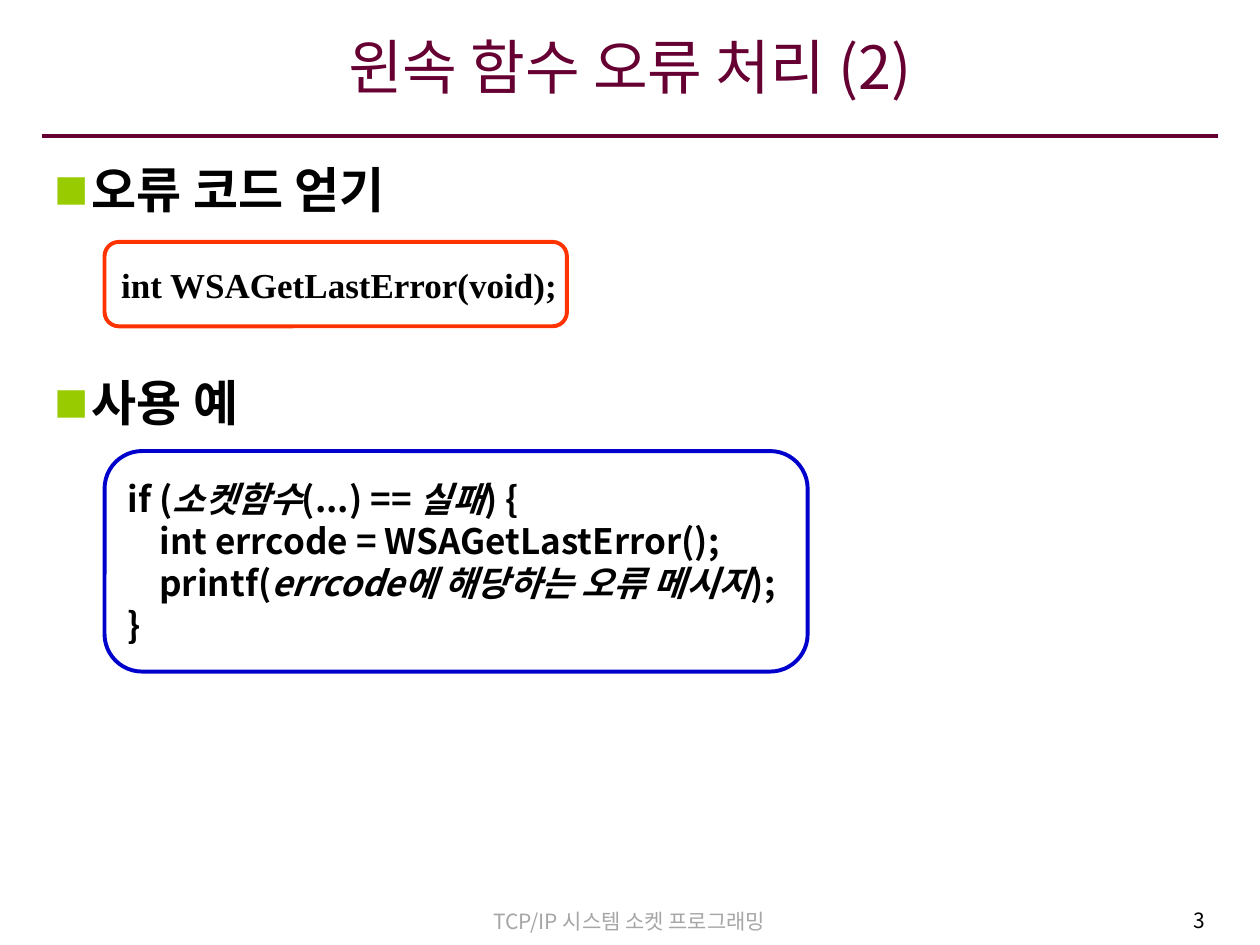
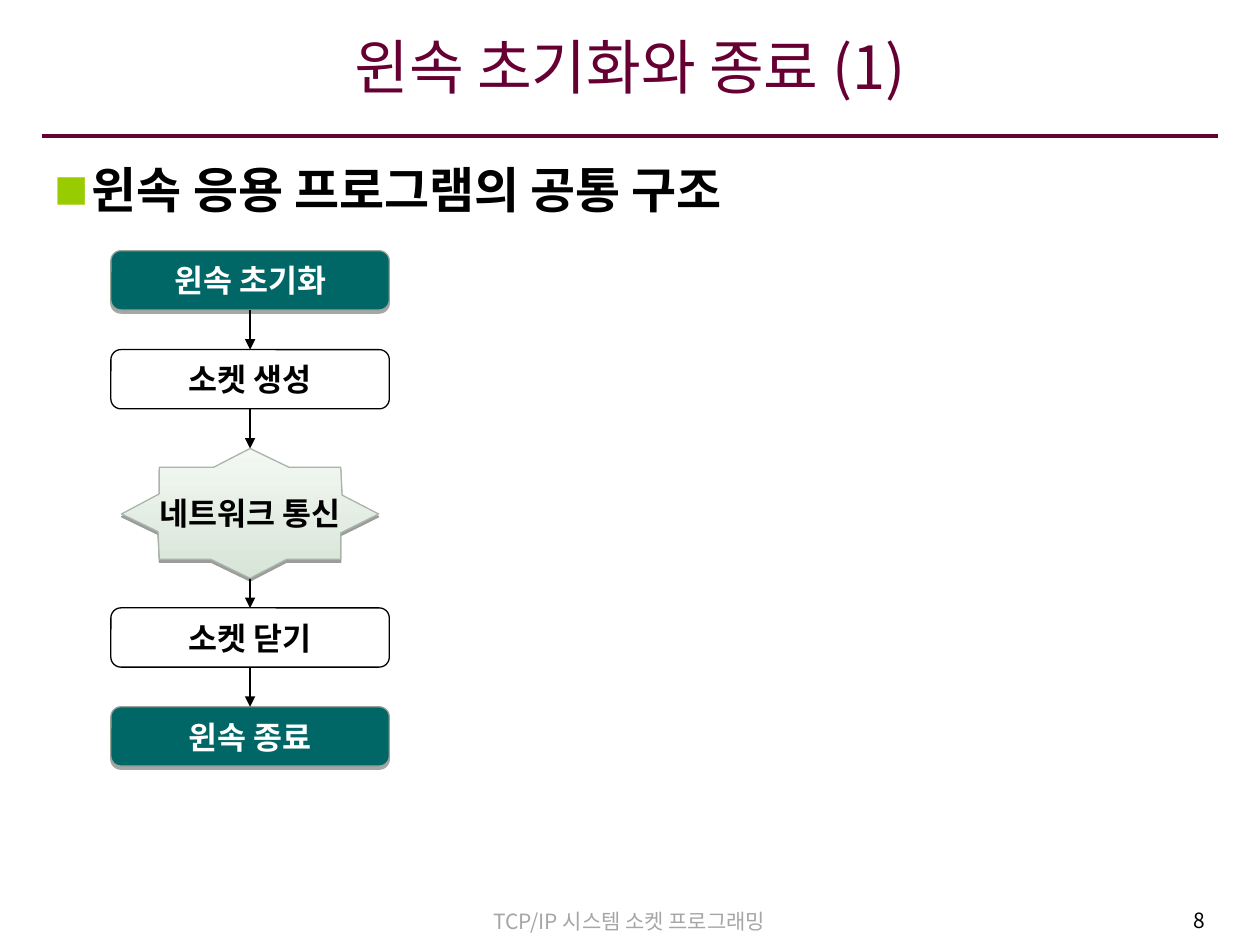
from lxml.etree import SubElement
from pptx import Presentation
from pptx.dml.color import RGBColor
from pptx.enum.shapes import MSO_CONNECTOR, MSO_SHAPE
from pptx.enum.text import MSO_ANCHOR, MSO_AUTO_SIZE, PP_ALIGN
from pptx.oxml.ns import qn
from pptx.util import Inches, Pt

COLORS = {
    "wine": "660033", "black": "000000", "white": "FFFFFF", "footer": "A6A6A6",
    "bullet": "99CC00", "red": "FF3300", "blue": "0000CC", "teal": "006666",
    "teal_edge": "98A398", "star_edge": "A9B5A9",
    "star_bottom": "D7E4D7", "star_top": "F3F8F3",
}
KOREAN = "Noto Sans CJK KR"
LINE_HEIGHT = 1.2
WIDTH, HEIGHT = 10, 7.5
MARGIN = 0.33
CONTENT_WIDTH = WIDTH - 2 * MARGIN

FOOTER = "TCP/IP 시스템 소켓 프로그래밍"

ERROR_SLIDE = {
    "title": "윈속 함수 오류 처리 (2)",
    "number": "3",
    # heading, space before in points
    "headings": [("오류 코드 얻기", 0), ("사용 예", 88)],
}
# Code lines: indent level, then (text, italic) runs
PROTOTYPE = [(0, [("int WSAGetLastError(void);", False)])]
EXAMPLE = [
    (0, [("if (", False), ("소켓함수", True), ("(...) == ", False),
         ("실패", True), (") {", False)]),
    (1, [("int errcode = WSAGetLastError();", False)]),
    (1, [("printf(", False), ("errcode에 해당하는 오류 메시지", True), (");", False)]),
    (0, [("}", False)]),
]
CODE_INDENT = 0.25

FLOW_SLIDE = {
    "title": "윈속 초기화와 종료 (1)",
    "number": "8",
    "headings": [("윈속 응용 프로그램의 공통 구조", 0)],
}
STEPS = [("윈속 초기화", "filled"), ("소켓 생성", "plain"), ("네트워크 통신", "star"),
         ("소켓 닫기", "plain"), ("윈속 종료", "filled")]
FLOW_LEFT, FLOW_TOP, FLOW_BOTTOM = 0.88, 1.99, 6.08
STEP_WIDTH = 2.21
STEP_HEIGHTS = {"filled": 0.47, "plain": 0.47, "star": 0.95}
# Star outline in hundredths of an inch
STAR_WIDTH = 2.04
STAR = [(0, 52), (29, 66), (30, 88), (71, 88), (102, 103), (131, 88), (174, 88),
        (174, 67), (204, 52), (175, 37), (174, 15), (133, 15), (102, 0), (73, 15),
        (30, 15), (30, 36)]


def rgb(name):
    return RGBColor.from_string(COLORS[name])


def place(shape, left, top, width, height):
    shape.left, shape.top = Inches(left), Inches(top)
    shape.width, shape.height = Inches(width), Inches(height)


def add_run(paragraph, text, size, color="black", bold=False, italic=False, font=KOREAN):
    run = paragraph.add_run()
    run.text = text
    run.font.size, run.font.bold, run.font.italic = Pt(size), bold, italic
    run.font.name = font
    run.font.color.rgb = rgb(color)
    SubElement(run.font._element, qn("a:ea"), typeface=KOREAN)


def set_outline(shape, color, width):
    shape.line.color.rgb = rgb(color)
    shape.line.width = Pt(width)


def add_line(slide, x1, y1, x2, y2, color, width, arrow=False):
    line = slide.shapes.add_connector(
        MSO_CONNECTOR.STRAIGHT, Inches(x1), Inches(y1), Inches(x2), Inches(y2))
    set_outline(line, color, width)
    if arrow:
        SubElement(line.line._get_or_add_ln(), qn("a:tailEnd"), type="triangle")
    SubElement(line._element.spPr, qn("a:effectLst"))
    return line


def add_footer(slide, text, left, top, width, align, color):
    box = slide.shapes.add_textbox(Inches(left), Inches(top), Inches(width), Inches(0.3))
    box.text_frame.word_wrap = True
    paragraph = box.text_frame.paragraphs[0]
    paragraph.alignment = align
    paragraph.line_spacing = Pt(12 * LINE_HEIGHT)
    add_run(paragraph, text, 12, color)


def add_bullet(paragraph):
    properties = paragraph._p.get_or_add_pPr()
    properties.set("marL", str(Inches(0.3)))
    properties.set("indent", str(-Inches(0.3)))
    bullet_color = SubElement(properties, qn("a:buClr"))
    SubElement(bullet_color, qn("a:srgbClr"), val=COLORS["bullet"])
    SubElement(properties, qn("a:buSzPct"), val="70000")
    SubElement(properties, qn("a:buFont"), typeface=KOREAN)
    SubElement(properties, qn("a:buChar"), char="■")


def add_content_slide(prs, layout, content):
    """Add a slide with its title, rule, headings and footers."""
    slide = prs.slides.add_slide(layout)
    add_line(slide, MARGIN, 1.08, WIDTH - MARGIN, 1.08, "wine", 2.25)
    add_footer(slide, FOOTER, 2.87, 7.16, 4.25, PP_ALIGN.CENTER, "footer")
    add_footer(slide, content["number"], 7.54, 7.15, 2.12, PP_ALIGN.RIGHT, "black")

    title = slide.shapes.title.text_frame
    title.auto_size = MSO_AUTO_SIZE.NONE
    title.vertical_anchor = MSO_ANCHOR.MIDDLE
    title.margin_left = title.margin_right = Inches(0.08)
    title.margin_bottom = Inches(0.16)
    title.paragraphs[0].alignment = PP_ALIGN.CENTER
    add_run(title.paragraphs[0], content["title"], 34, "wine")

    body = slide.placeholders[1].text_frame
    body.auto_size = MSO_AUTO_SIZE.NONE
    for index, (heading, space) in enumerate(content["headings"]):
        paragraph = body.add_paragraph() if index else body.paragraphs[0]
        paragraph.line_spacing = Pt(28 * LINE_HEIGHT)
        paragraph.space_before = Pt(space)
        add_bullet(paragraph)
        add_run(paragraph, heading, 28, bold=True)
    return slide


def center_text(shape):
    """Prepare an unwrapped, vertically centred text frame."""
    frame = shape.text_frame
    frame.word_wrap = False
    frame.vertical_anchor = MSO_ANCHOR.MIDDLE
    return frame


def add_rounded(slide, left, top, width, height, edge, edge_width):
    box = slide.shapes.add_shape(MSO_SHAPE.ROUNDED_RECTANGLE, Inches(left), Inches(top),
                                 Inches(width), Inches(height))
    box.adjustments[0] = 0.17
    box.shadow.inherit = False
    box.fill.background()
    set_outline(box, edge, edge_width)
    return box


def add_code(slide, lines, top, width, height, edge, font):
    box = add_rounded(slide, 0.83, top, width, height, edge, 2.25)
    frame = center_text(box)
    for index, (level, runs) in enumerate(lines):
        paragraph = frame.add_paragraph() if index else frame.paragraphs[0]
        paragraph.alignment = PP_ALIGN.LEFT
        paragraph.line_spacing = Pt(20 * LINE_HEIGHT)
        paragraph._p.get_or_add_pPr().set("marL", str(Inches(level * CODE_INDENT)))
        for text, italic in runs:
            add_run(paragraph, text, 20, bold=True, italic=italic, font=font)


def drop_shadow(shape, distance, opacity):
    shape.shadow.inherit = False
    effects = shape._element.spPr.find(qn("a:effectLst"))
    shadow = SubElement(effects, qn("a:outerShdw"), blurRad="0", dist=str(Pt(distance)),
                        dir="5400000", algn="ctr", rotWithShape="0")
    color = SubElement(shadow, qn("a:srgbClr"), val=COLORS["black"])
    SubElement(color, qn("a:alpha"), val=str(opacity * 1000))


def add_star(slide, center, top):
    left = center - STAR_WIDTH / 2
    points = [(Inches(left + x / 100), Inches(top + y / 100)) for x, y in STAR]
    builder = slide.shapes.build_freeform(*points[0])
    builder.add_line_segments(points[1:], close=True)
    star = builder.convert_to_shape()
    star.fill.gradient()
    star.fill.gradient_angle = 90
    for stop, color in zip(star.fill.gradient_stops, ("star_bottom", "star_top")):
        stop.color.rgb = rgb(color)
    set_outline(star, "star_edge", 0.75)
    drop_shadow(star, 1.6, 38)
    return star


def add_step_box(slide, kind, top, height):
    filled = kind == "filled"
    box = add_rounded(slide, FLOW_LEFT, top, STEP_WIDTH, height,
                      "teal_edge" if filled else "black", 0.75)
    if filled:
        box.fill.solid()
        box.fill.fore_color.rgb = rgb("teal")
        drop_shadow(box, 1.8, 35)
    return box


def add_flow(slide):
    heights = [STEP_HEIGHTS[kind] for _, kind in STEPS]
    gap = (FLOW_BOTTOM - FLOW_TOP - sum(heights)) / (len(STEPS) - 1)
    tops = [FLOW_TOP + sum(heights[:i]) + i * gap for i in range(len(STEPS))]
    center = FLOW_LEFT + STEP_WIDTH / 2

    boxes = {i: add_step_box(slide, kind, tops[i], heights[i])
             for i, (_, kind) in enumerate(STEPS) if kind != "star"}
    for i in range(len(STEPS) - 1):
        arrow = add_line(slide, center, tops[i] + heights[i], center, tops[i + 1],
                         "black", 0.75, arrow=True)
        if i in boxes:
            arrow.begin_connect(boxes[i], 2)
        if i + 1 in boxes:
            arrow.end_connect(boxes[i + 1], 0)

    for i, (label, kind) in enumerate(STEPS):
        step = boxes[i] if i in boxes else add_star(slide, center, tops[i])
        paragraph = center_text(step).paragraphs[0]
        paragraph.alignment = PP_ALIGN.CENTER
        add_run(paragraph, label, 18, "white" if kind == "filled" else "black",
                bold=True, font=KOREAN if kind == "plain" else "Arial")


def main():
    prs = Presentation()
    prs.slide_width, prs.slide_height = Inches(WIDTH), Inches(HEIGHT)
    layout = prs.slide_layouts[1]
    place(layout.placeholders[0], MARGIN, 0.15, CONTENT_WIDTH, 0.85)
    place(layout.placeholders[1], MARGIN, 1.22, CONTENT_WIDTH, 5.86)

    errors = add_content_slide(prs, layout, ERROR_SLIDE)
    add_code(errors, PROTOTYPE, 1.92, 3.67, 0.67, "red", "Times New Roman")
    add_code(errors, EXAMPLE, 3.58, 5.58, 1.75, "blue", KOREAN)

    add_flow(add_content_slide(prs, layout, FLOW_SLIDE))
    prs.save("out.pptx")


if __name__ == "__main__":
    main()
